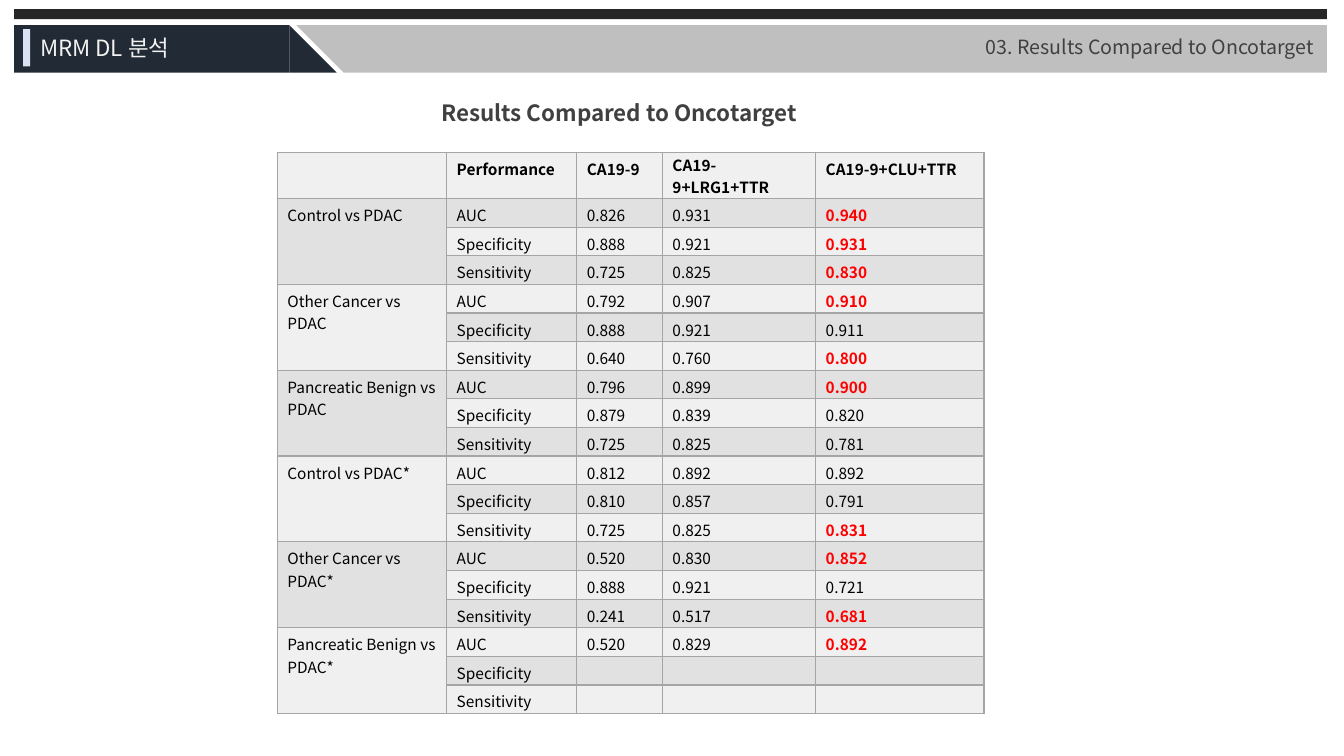
import lxml.etree
import pptx
import pptx.util
import pptx.dml.color
import pptx.enum.shapes
import pptx.enum.text
import pptx.oxml.ns

RECT = pptx.enum.shapes.MSO_SHAPE.RECTANGLE
WEDGE = pptx.enum.shapes.MSO_SHAPE.RIGHT_TRIANGLE
NAVY, GRAY, INK = "222A35", "BFBFBF", "404040"
BLACK, RED, EDGE = "000000", "FF0000", "A5A5A5"
BANDS = ["F0F0F0", "E1E1E1"]

HEADS = ["", "Performance", "CA19-9", "CA19-9+LRG1+TTR", "CA19-9+CLU+TTR"]
TESTS = ["AUC", "Specificity", "Sensitivity"]
GROUPS = [
    ("Control vs PDAC", [
        ("0.826", "0.931", "0.940"), ("0.888", "0.921", "0.931"), ("0.725", "0.825", "0.830")]),
    ("Other Cancer vs PDAC", [
        ("0.792", "0.907", "0.910"), ("0.888", "0.921", "0.911"), ("0.640", "0.760", "0.800")]),
    ("Pancreatic Benign vs PDAC", [
        ("0.796", "0.899", "0.900"), ("0.879", "0.839", "0.820"), ("0.725", "0.825", "0.781")]),
    ("Control vs PDAC*", [
        ("0.812", "0.892", "0.892"), ("0.810", "0.857", "0.791"), ("0.725", "0.825", "0.831")]),
    ("Other Cancer vs PDAC*", [
        ("0.520", "0.830", "0.852"), ("0.888", "0.921", "0.721"), ("0.241", "0.517", "0.681")]),
    ("Pancreatic Benign vs PDAC*", [
        ("0.520", "0.829", "0.892"), ("", "", ""), ("", "", "")]),
]


def tint(code):
    return pptx.dml.color.RGBColor.from_string(code)


def node(parent, tag, **attrs):
    item = lxml.etree.SubElement(parent, pptx.oxml.ns.qn(tag))
    for key, value in attrs.items():
        item.set(key, str(value))
    return item


class Page:
    face = "Noto Sans CJK KR"
    unit = 0.1

    def __init__(self, deck):
        self.slide = deck.slides.add_slide(deck.slide_layouts[6])

    def span(self, count):
        return pptx.util.Inches(count * self.unit)

    def style(self, para, size, color, bold=False):
        font = para.font
        font.name, font.size, font.bold = self.face, pptx.util.Pt(size), bold
        font.color.rgb = tint(color)
        props = para._p.pPr.find(pptx.oxml.ns.qn("a:defRPr"))
        node(props, "a:ea", typeface=self.face)

    def block(self, kind, box, color, turn=0):
        shape = self.slide.shapes.add_shape(kind, *map(self.span, box))
        shape.shadow.inherit = False
        shape.fill.solid()
        shape.fill.fore_color.rgb = tint(color)
        shape.line.fill.background()
        shape.rotation = turn

    def label(self, text, box, size, color, bold=False):
        frame = self.slide.shapes.add_textbox(*map(self.span, box)).text_frame
        frame.word_wrap = True
        frame.vertical_anchor = pptx.enum.text.MSO_ANCHOR.MIDDLE
        para = frame.paragraphs[0]
        para.text = text
        self.style(para, size, color, bold)

    def fill(self, cell, text, back, color, bold):
        cell.margin_bottom = 0
        props = cell._tc.get_or_add_tcPr()
        for side in "LRTB":
            line = node(props, "a:ln" + side, w=pptx.util.Pt(1))
            node(node(line, "a:solidFill"), "a:srgbClr", val=EDGE)
        cell.fill.solid()
        cell.fill.fore_color.rgb = tint(back)
        para = cell.text_frame.paragraphs[0]
        if text:
            para.text = text
        self.style(para, 11, color, bold)
        if not text:
            node(para._p, "a:endParaRPr", sz=1100)

    def table(self, rows, reds, box, wide, high):
        table = self.slide.shapes.add_table(len(rows), len(wide), *map(self.span, box)).table
        table.first_row = table.horz_banding = False
        for col, width in zip(table.columns, wide):
            col.width = self.span(width)
        for row, height in zip(table.rows, high):
            row.height = self.span(height)
        for r, row in enumerate(rows):
            for c, text in enumerate(row):
                hot = c == len(wide) - 1 and r in reds
                self.fill(table.cell(r, c), text, BANDS[r % 2],
                          RED if hot else BLACK, hot or r == 0)
        return table


def main():
    deck = pptx.Presentation()
    deck.slide_width = pptx.util.Inches(13.33)
    deck.slide_height = pptx.util.Inches(7.5)
    page = Page(deck)

    page.block(RECT, (1.4, 0.9, 130.2, 1), "262626")
    page.block(RECT, (1.4, 2.5, 27.3, 4.7), NAVY)
    page.block(WEDGE, (28.7, 2.5, 4.7, 4.7), NAVY)
    page.block(RECT, (34.1, 2.5, 97.5, 4.7), GRAY)
    page.block(WEDGE, (29.4, 2.5, 4.7, 4.7), GRAY, 180)
    page.label("MRM DL 분석", (3, 2.9, 19.9, 3.7), 16, "F2F2F2")
    page.block(RECT, (2.3, 2.9, 0.7, 3.7), "DAE3F3")
    page.label("03. Results Compared to Oncotarget", (96.8, 2.9, 35.7, 3.4), 14, INK)

    rows = [HEADS]
    for name, scores in GROUPS:
        for n, (test, score) in enumerate(zip(TESTS, scores)):
            rows.append(["" if n else name, test, *score])
    reds = {1, 2, 3, 4, 6, 7, 12, 13, 15, 16}
    high = [4.6] + [2.84] * (len(rows) - 1)
    table = page.table(rows, reds, (27.5, 15.1, 70.1, sum(high)),
                       (16.8, 12.9, 8.5, 15.2, 16.7), high)
    table.cell(0, 3).margin_top = page.span(0.1)
    for top in range(1, len(rows), len(TESTS)):
        table.cell(top, 0).merge(table.cell(top + len(TESTS) - 1, 0))
    page.label("Results Compared to Oncotarget", (42.8, 9.3, 66.7, 3.7), 16, INK, True)
    deck.save("out.pptx")


if __name__ == "__main__":
    main()
